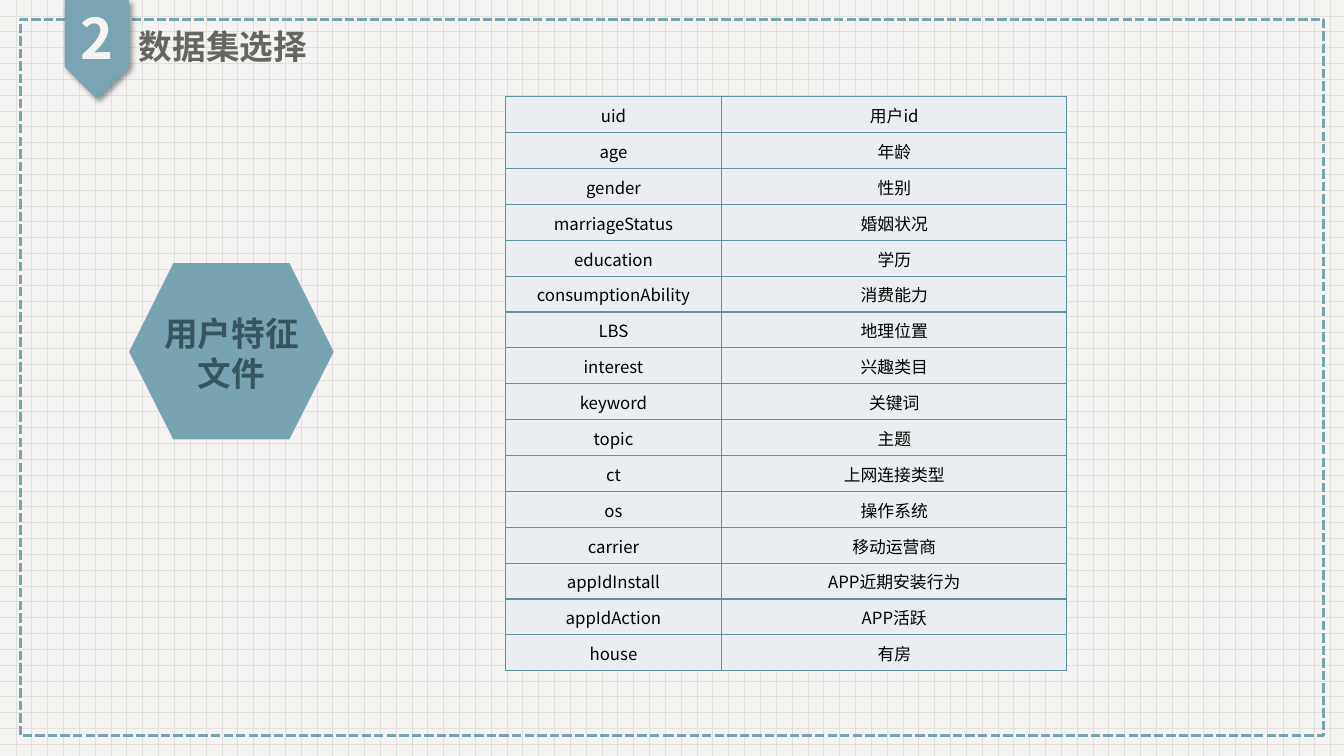
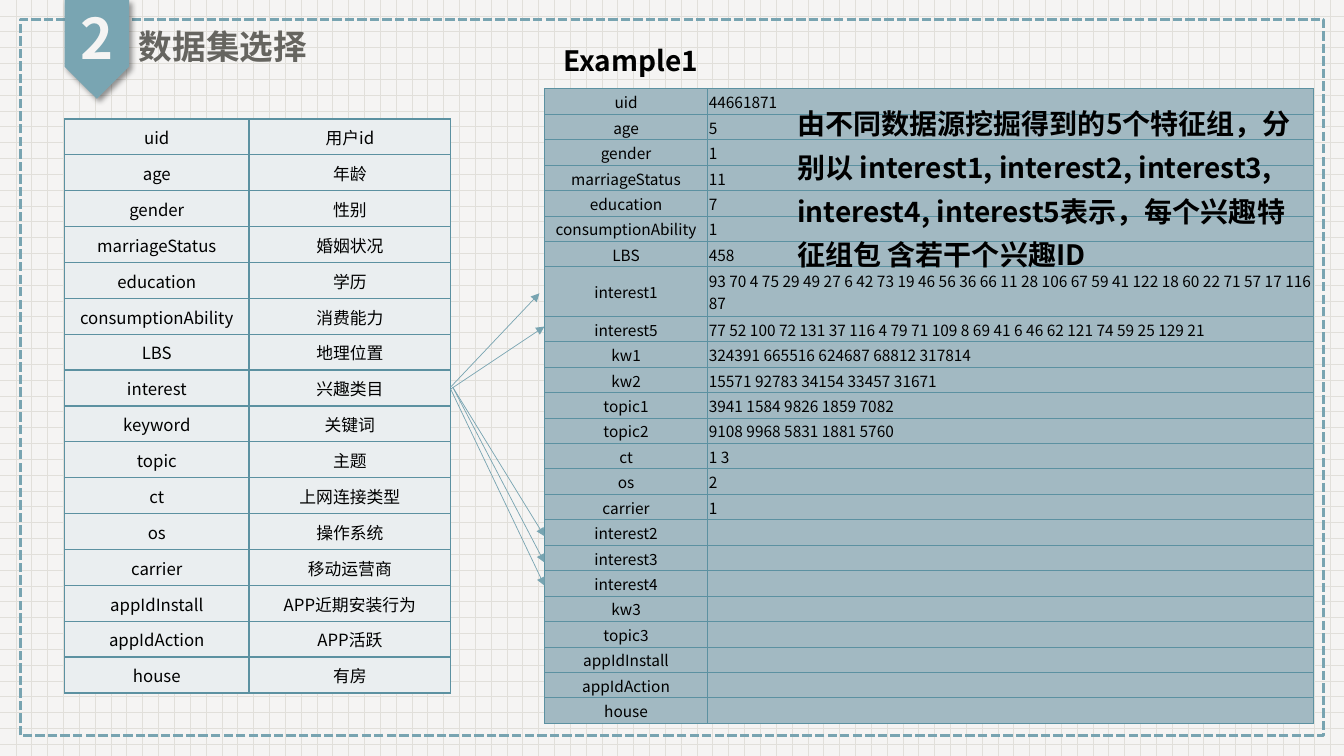
from dataclasses import dataclass
from typing import NamedTuple

from lxml import etree
from pptx import Presentation
from pptx import slide as sl
from pptx import util as u
from pptx.dml.color import RGBColor
from pptx.enum import dml, shapes, text
from pptx.oxml.ns import qn

FONT = "Noto Sans CJK SC"
HUE = {
    "paper": "F5F4F3", "grid": "E1DFDA", "teal": "78A4B1", "flag": "79A5B2",
    "title": "666560", "label": "36555E", "ink": "000000",
    "edge": "5C91A1", "pale": "EAEEF0", "slate": "A2B9C2",
}
LEFT, MID = text.PP_ALIGN.LEFT, text.PP_ALIGN.CENTER


@dataclass
class Label:
    words: str
    box: tuple[float, float, float, float]
    size: float
    hue: str
    align: text.PP_ALIGN = LEFT
    lead: float = 1.0
    before: float = 0
    middle: bool = False
    wrap: bool = True


@dataclass
class Grid:
    rows: list[tuple[str, str]]
    left: float
    top: float
    cols: tuple[float, float]
    high: float
    size: float
    fill: str
    edge: float
    align: text.PP_ALIGN = MID


class Arrow(NamedTuple):
    x1: float
    y1: float
    x2: float
    y2: float


# Content
FIELDS = [
    ("uid", "用户id"), ("age", "年龄"), ("gender", "性别"),
    ("marriageStatus", "婚姻状况"), ("education", "学历"),
    ("consumptionAbility", "消费能力"), ("LBS", "地理位置"),
    ("interest", "兴趣类目"), ("keyword", "关键词"), ("topic", "主题"),
    ("ct", "上网连接类型"), ("os", "操作系统"), ("carrier", "移动运营商"),
    ("appIdInstall", "APP近期安装行为"), ("appIdAction", "APP活跃"),
    ("house", "有房"),
]
SAMPLE = [
    ("uid", "44661871"), ("age", "5"), ("gender", "1"),
    ("marriageStatus", "11"), ("education", "7"),
    ("consumptionAbility", "1"), ("LBS", "458"),
    ("interest1", "93 70 4 75 29 49 27 6 42 73 19 46 56 36 66 11 28 106 "
                  "67 59 41 122 18 60 22 71 57 17 116 87"),
    ("interest5", "77 52 100 72 131 37 116 4 79 71 109 8 69 41 6 46 62 "
                  "121 74 59 25 129 21"),
    ("kw1", "324391 665516 624687 68812 317814"),
    ("kw2", "15571 92783 34154 33457 31671"),
    ("topic1", "3941 1584 9826 1859 7082"),
    ("topic2", "9108 9968 5831 1881 5760"),
    ("ct", "1 3"), ("os", "2"), ("carrier", "1"),
    ("interest2", ""), ("interest3", ""), ("interest4", ""), ("kw3", ""),
    ("topic3", ""), ("appIdInstall", ""), ("appIdAction", ""), ("house", ""),
]
NOTE = ("由不同数据源挖掘得到的5个特征组，分别以 interest1, interest2, "
        "interest3, interest4, interest5表示，每个兴趣特征组包 含若干个兴趣ID")
ARROWS = [
    Arrow(4.47, 3.84, 5.35, 2.91), Arrow(4.47, 3.86, 5.4, 3.24),
    Arrow(4.49, 3.84, 5.4, 5.32), Arrow(4.49, 3.84, 5.4, 5.58),
    Arrow(4.47, 3.86, 5.4, 5.81),
]
HEX = [(1.28, 3.49), (1.72, 2.61), (2.87, 2.61),
       (3.31, 3.49), (2.87, 4.36), (1.72, 4.36)]
HEADS = [
    Label("2", (0.64, 0, 0.64, 0.82), 40, "paper", MID, 0.9, 10, True),
    Label("数据集选择", (1.28, 0.23, 4.6, 0.51), 24, "title",
          LEFT, 0.9, 10, True),
]


def rgb(name: str) -> RGBColor:
    return RGBColor.from_string(HUE[name])


def ink(part, size: float, hue: str, bold: bool = False) -> None:
    """Format every run of a paragraph."""
    for run in part.runs:
        run.font.size = u.Pt(size)
        run.font.bold = bold
        run.font.color.rgb = rgb(hue)
        run.font.name = FONT
        etree.SubElement(run.font._element, qn("a:ea"), typeface=FONT)


def write(page: sl.Slide, label: Label) -> None:
    box = page.shapes.add_textbox(*map(u.Inches, label.box))
    frame = box.text_frame
    frame.text = label.words
    frame.word_wrap = label.wrap
    if label.middle:
        frame.vertical_anchor = text.MSO_ANCHOR.MIDDLE
    else:
        frame.auto_size = text.MSO_AUTO_SIZE.SHAPE_TO_FIT_TEXT
    for part in frame.paragraphs:
        part.alignment = label.align
        part.line_spacing = label.lead
        part.space_before = u.Pt(label.before)
        ink(part, label.size, label.hue, True)


def border(cell, width: float) -> None:
    props = cell._tc.get_or_add_tcPr()
    for side in ("lnL", "lnR", "lnT", "lnB"):
        line = etree.SubElement(props, qn(f"a:{side}"), w=str(u.Pt(width)))
        fill = etree.SubElement(line, qn("a:solidFill"))
        etree.SubElement(fill, qn("a:srgbClr"), val=HUE["edge"])


def fill_cell(cell, words: str, grid: Grid, align: text.PP_ALIGN) -> None:
    border(cell, grid.edge)
    cell.fill.solid()
    cell.fill.fore_color.rgb = rgb(grid.fill)
    cell.margin_left = cell.margin_right = cell.margin_top = u.Inches(0.01)
    cell.margin_bottom = 0
    cell.vertical_anchor = text.MSO_ANCHOR.MIDDLE
    part = cell.text_frame.paragraphs[0]
    part.alignment = align
    if words:
        part.text = words
        ink(part, grid.size, "ink")
    else:  # an empty cell must not stretch its row
        etree.SubElement(part._p, qn("a:endParaRPr"),
                         sz=str(int(grid.size * 100)))


def tabulate(page: sl.Slide, grid: Grid, tall: dict[int, float]) -> None:
    """Draw a two-column table; tall gives the rows of their own height."""
    step = (grid.high - sum(tall.values())) / (len(grid.rows) - len(tall))
    table = page.shapes.add_table(
        len(grid.rows), 2, u.Inches(grid.left), u.Inches(grid.top),
        u.Inches(sum(grid.cols)), u.Inches(grid.high)).table
    table.first_row = table.horz_banding = False
    for col, wide in zip(table.columns, grid.cols):
        col.width = u.Inches(wide)
    for i, (key, value) in enumerate(grid.rows):
        table.rows[i].height = u.Inches(tall.get(i, step))
        fill_cell(table.cell(i, 0), key, grid, MID)
        fill_cell(table.cell(i, 1), value, grid, grid.align)


def point(page: sl.Slide, arrow: Arrow) -> None:
    link = page.shapes.add_connector(
        shapes.MSO_CONNECTOR.STRAIGHT, *map(u.Inches, arrow))
    link.line.color.rgb = rgb("teal")
    link.line.width = u.Pt(0.5)
    etree.SubElement(link.line._get_or_add_ln(), qn("a:tailEnd"),
                     type="triangle")
    etree.SubElement(link._element.spPr, qn("a:effectLst"))


def shade(shape) -> None:
    """Give a shape a soft shadow to the lower right."""
    shape.shadow.inherit = False
    glow = shape._element.spPr.find(qn("a:effectLst"))
    cast = etree.SubElement(
        glow, qn("a:outerShdw"), blurRad=str(u.Pt(4)), dist=str(u.Pt(3)),
        dir=str(45 * 60000), algn="tl", rotWithShape="0")
    tint = etree.SubElement(cast, qn("a:srgbClr"), val=HUE["ink"])
    etree.SubElement(tint, qn("a:alpha"), val="40000")


def start(deck) -> sl.Slide:
    """Add a page with the shared paper, frame, flag and title."""
    page = deck.slides.add_slide(deck.slide_layouts[6])
    paper = page.background.fill
    paper.patterned()
    paper.pattern = dml.MSO_PATTERN.DOTTED_GRID
    paper.fore_color.rgb = rgb("grid")
    paper.back_color.rgb = rgb("paper")

    frame = page.shapes.add_shape(
        shapes.MSO_SHAPE.RECTANGLE, *map(u.Inches, (0.2, 0.19, 12.93, 7.11)))
    frame.shadow.inherit = False
    frame.fill.background()
    frame.line.color.rgb = rgb("teal")
    frame.line.width = u.Pt(2.25)
    frame.line.dash_style = dml.MSO_LINE.SQUARE_DOT

    flag = page.shapes.add_shape(
        shapes.MSO_SHAPE.PENTAGON, *map(u.Inches, (0.47, 0.17, 0.98, 0.64)))
    flag.rotation = 90
    flag.fill.solid()
    flag.fill.fore_color.rgb = rgb("flag")
    flag.line.fill.background()
    shade(flag)

    for head in HEADS:
        write(page, head)
    return page


def draw_hex(page: sl.Slide) -> None:
    dots = [(u.Inches(x), u.Inches(y)) for x, y in HEX]
    pen = page.shapes.build_freeform(*dots[0])
    pen.add_line_segments(dots[1:], close=True)
    shape = pen.convert_to_shape()
    shape.shadow.inherit = False
    shape.fill.solid()
    shape.fill.fore_color.rgb = rgb("teal")
    shape.line.fill.background()


def main() -> None:
    deck = Presentation()
    deck.slide_width, deck.slide_height = u.Inches(13.33), u.Inches(7.5)

    # Feature file
    page = start(deck)
    draw_hex(page)
    write(page, Label("用户特征\n文件", (1.52, 3.05, 1.55, 0.91), 24, "label",
                      MID, wrap=False))
    tabulate(page, Grid(FIELDS, 5.01, 0.96, (2.15, 3.42), 5.7, 12,
                        "pale", 1), {})

    # Example record
    page = start(deck)
    tabulate(page, Grid(FIELDS, 0.64, 1.18, (1.83, 2), 5.7, 12,
                        "pale", 1), {})
    tabulate(page, Grid(SAMPLE, 5.4, 0.88, (1.62, 6.01), 6.3, 11,
                        "slate", 0.5, LEFT), {7: 0.49})
    write(page, Label("Example1", (5.49, 0.28, 2.08, 0.5), 20, "ink",
                      lead=1.3, before=6))
    write(page, Label(NOTE, (7.81, 0.91, 5.23, 1.81), 20, "ink",
                      lead=1.3, before=6))
    for arrow in ARROWS:
        point(page, arrow)

    deck.save("out.pptx")


if __name__ == "__main__":
    main()
